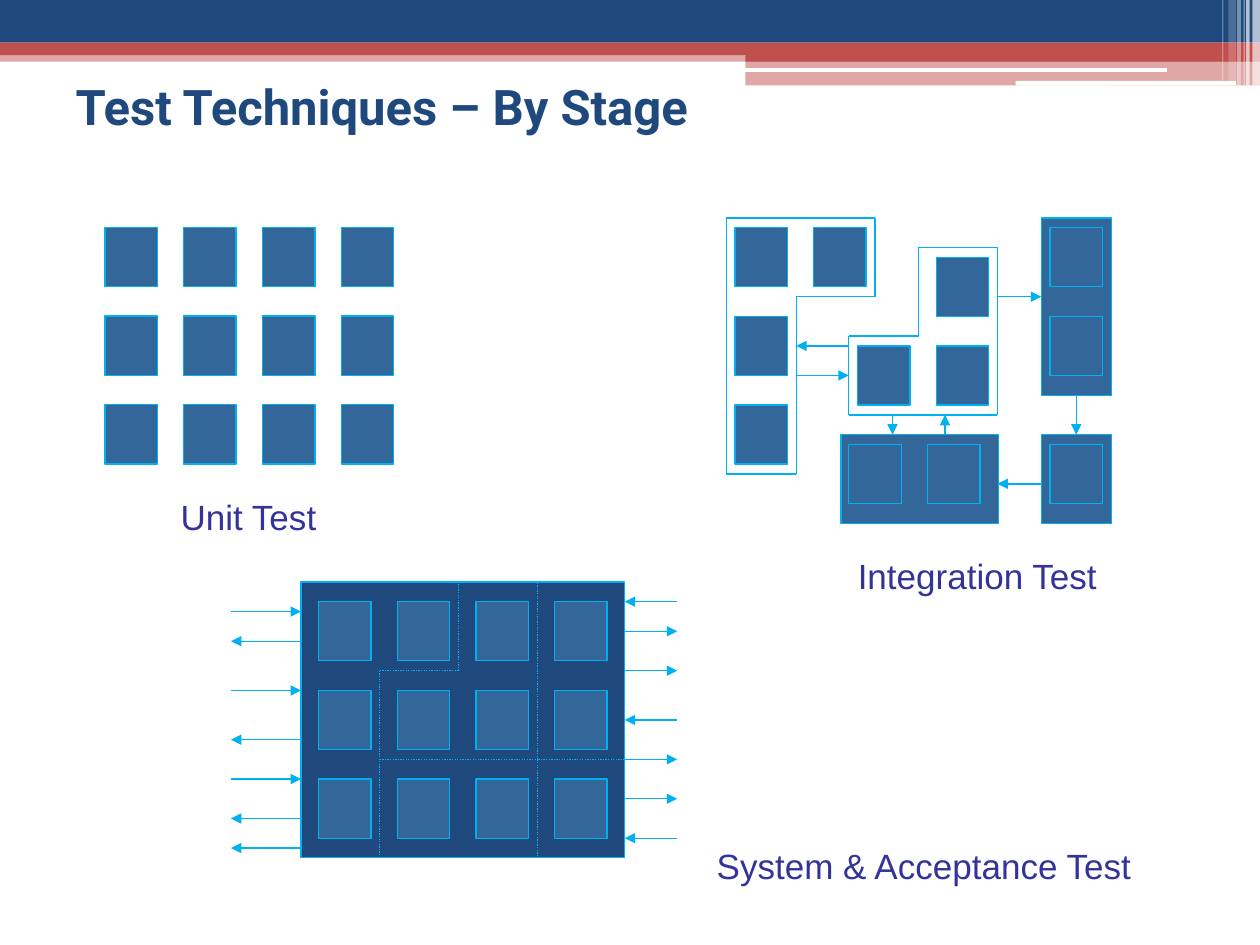
from dataclasses import dataclass
from itertools import pairwise, product

from lxml import etree
from pptx import Presentation
from pptx.dml.color import RGBColor
from pptx.enum.dml import MSO_LINE
from pptx.enum.shapes import MSO_CONNECTOR, MSO_SHAPE
from pptx.enum.text import MSO_ANCHOR, MSO_AUTO_SIZE, PP_ALIGN
from pptx.oxml.ns import qn
from pptx.util import Pt

RECT = MSO_SHAPE.RECTANGLE
ROUNDED = MSO_SHAPE.ROUNDED_RECTANGLE
STRAIGHT = MSO_CONNECTOR.STRAIGHT
DOTTED = MSO_LINE.ROUND_DOT
TOP, LEFT, BOTTOM, RIGHT = range(4)
TITLE_ONLY = 5


@dataclass(frozen=True)
class Theme:
    navy: RGBColor = RGBColor.from_string("1F497D")
    red: RGBColor = RGBColor.from_string("C0504D")
    white: RGBColor = RGBColor.from_string("FFFFFF")
    unit: RGBColor = RGBColor.from_string("336699")
    edge: RGBColor = RGBColor.from_string("00B0F0")
    label: RGBColor = RGBColor.from_string("333399")
    title_font: str = "Roboto"
    label_font: str = "Arial"
    title_size: int = 28
    label_size: int = 20
    edge_width: float = 0.75


THEME = Theme()

# The diagrams share a grid of small steps; a unit is 6 x 6 steps, one every 9.
STEP_X, STEP_Y = 5, 5.63
UNIT, PITCH = 6, 9


class Diagram:
    """A group whose parts are placed in grid steps from its left top corner."""

    def __init__(self, slide, left, top):
        self.shapes = slide.shapes.add_group_shape().shapes
        self.left, self.top = left, top

    def point(self, column, row):
        return Pt(self.left + column * STEP_X), Pt(self.top + row * STEP_Y)

    def block(self, column, row, columns=UNIT, rows=UNIT, fill=THEME.unit):
        block = self.shapes.add_shape(RECT, *self.point(column, row),
                                      Pt(columns * STEP_X), Pt(rows * STEP_Y))
        block.shadow.inherit = False
        block.fill.solid()
        block.fill.fore_color.rgb = fill
        block.line.color.rgb = THEME.edge
        block.line.width = Pt(THEME.edge_width)
        return block

    def unit_grid(self, column, row):
        for j, i in product(range(3), range(4)):
            self.block(column + i * PITCH, row + j * PITCH)

    def line(self, start, end, dash=None):
        line = self.shapes.add_connector(STRAIGHT, *self.point(*start), *self.point(*end))
        line.line.color.rgb = THEME.edge
        line.line.width = Pt(THEME.edge_width)
        if dash:
            line.line.dash_style = dash
        etree.SubElement(line._element.spPr, qn("a:effectLst"))
        return line

    def path_lines(self, points, dash=None):
        for start, end in pairwise(points):
            self.line(start, end, dash)

    def arrow(self, start, end):
        arrow = self.line(start, end)
        etree.SubElement(arrow.line._get_or_add_ln(), qn("a:tailEnd"), type="triangle")
        return arrow


def add_stripe(slide, box, color, alpha=100, preset=RECT):
    stripe = slide.shapes.add_shape(preset, *map(Pt, box))
    stripe.shadow.inherit = False
    stripe.line.fill.background()
    stripe.fill.solid()
    stripe.fill.fore_color.rgb = color
    if alpha < 100:
        rgb = stripe._element.spPr.find(qn("a:solidFill"))[0]
        etree.SubElement(rgb, qn("a:alpha"), val=str(alpha * 1000))


def add_header(slide, width):
    step = 426  # where the band becomes deeper
    add_stripe(slide, (0, 28.8, width, 6.5), THEME.red, 50)
    add_stripe(slide, (0, 0, width, 24.4), THEME.navy)
    add_stripe(slide, (0, 24.4, width, 7.1), THEME.red)
    add_stripe(slide, (step, 28.2, width - step, 7.1), THEME.red)
    add_stripe(slide, (step, 34.9, width - step, 13.9), THEME.red, 50)
    add_stripe(slide, (step - 0.5, 38.9, 241.3, 2.2), THEME.white, preset=ROUNDED)
    add_stripe(slide, (580.4, 46.3, 126, 2.6), THEME.white, preset=ROUNDED)
    for left, bar_width, height, alpha in (
            (715.7, 4.3, 48.9, 65), (712.1, 2.1, 48.9, 65), (710.6, 0.7, 48.9, 60),
            (707, 2.1, 48.9, 40), (702, 4.3, 46.1, 20), (698.4, 0.7, 46.1, 30)):
        add_stripe(slide, (left, 0, bar_width, height), THEME.white, alpha)


def style_text(paragraph, font, size, color, alignment, bold=False):
    paragraph.alignment = alignment
    paragraph.font.name = font
    paragraph.font.size = Pt(size)
    paragraph.font.color.rgb = color
    paragraph.font.bold = bold


def set_title(slide, box, wording):
    title = slide.shapes.title
    title.left, title.top, title.width, title.height = map(Pt, box)
    title.text_frame.text = wording
    title.text_frame.vertical_anchor = MSO_ANCHOR.MIDDLE
    style_text(title.text_frame.paragraphs[0], THEME.title_font, THEME.title_size,
               THEME.navy, PP_ALIGN.LEFT, bold=True)


def add_label(slide, left, top, width, wording):
    label = slide.shapes.add_textbox(Pt(left), Pt(top), Pt(width), Pt(30.2)).text_frame
    label.word_wrap = True
    label.auto_size = MSO_AUTO_SIZE.SHAPE_TO_FIT_TEXT
    label.margin_left = label.margin_right = Pt(6.5)
    label.margin_top = label.margin_bottom = Pt(3.2)
    label.text = wording
    style_text(label.paragraphs[0], THEME.label_font, THEME.label_size,
               THEME.label, PP_ALIGN.CENTER)


def add_unit_test(slide, left, top):
    Diagram(slide, left, top).unit_grid(0, 0)
    add_label(slide, left + 2, top + 150, 160, "Unit Test")


def add_integration_test(slide, left, top):
    diagram = Diagram(slide, left, top)
    last_module = diagram.block(36, 22, 8, 9)
    tall_module = diagram.block(36, 0, 8, 18)
    diagram.block(13.1, 22, 18, 9)
    for unit in ((1, 1), (10, 1), (24, 4), (37, 1), (1, 10), (15, 13), (24, 13),
                 (37, 10), (1, 19), (14, 23), (23, 23), (37, 23)):
        diagram.block(*unit)
    diagram.path_lines([(14, 12), (22, 12), (22, 3), (31, 3), (31, 20), (14, 20), (14, 12)])
    diagram.path_lines([(0, 0), (0, 26), (8, 26), (8, 8), (17, 8), (17, 0), (0, 0)])
    for start, end in (((14, 13), (8, 13)), ((8, 16), (14, 16)), ((19, 20), (19, 22)),
                       ((36, 27), (31, 27)), ((31, 8), (36, 8)), ((25, 22), (25, 20))):
        diagram.arrow(start, end)
    hand_over = diagram.arrow((40, 18), (40, 22))
    hand_over.begin_connect(tall_module, BOTTOM)
    hand_over.end_connect(last_module, TOP)
    add_label(slide, left + 47.5, top + 189.3, 192, "Integration Test")


def add_system_test(slide, left, top):
    columns, rows = 37, 28
    diagram = Diagram(slide, left, top)
    system = diagram.block(0, 0, columns, rows, THEME.navy)
    for row in (3, 11, 20):
        diagram.arrow((-8, row), (0, row))
    for row in (6, 16, 24, 27):
        diagram.arrow((0, row), (-8, row))
    for row in (2, 14, 26):
        incoming = diagram.arrow((columns + 6, row), (columns, row))
        if row == rows / 2:
            incoming.end_connect(system, RIGHT)
    for row in (5, 9, 18, 22):
        diagram.arrow((columns, row), (columns + 6, row))
    diagram.unit_grid(2, 2)
    for border in ([(9, rows), (9, 9), (18, 9), (18, 0)],
                   [(9, 18), (27, 18), (27, 0)],
                   [(columns, 18), (27, 18), (27, rows)]):
        diagram.path_lines(border, DOTTED)
    add_label(slide, left + 212, top + 147, 288, "System & Acceptance Test")


def main():
    deck = Presentation()
    deck.slide_width, deck.slide_height = Pt(720), Pt(540)
    slide = deck.slides.add_slide(deck.slide_layouts[TITLE_ONLY])
    add_header(slide, 720)
    set_title(slide, (36, 30.5, 648, 60), "Test Techniques – By Stage")
    add_unit_test(slide, 60, 130)
    add_integration_test(slide, 415, 124.5)
    add_system_test(slide, 172, 332.6)
    deck.save("out.pptx")


if __name__ == "__main__":
    main()
